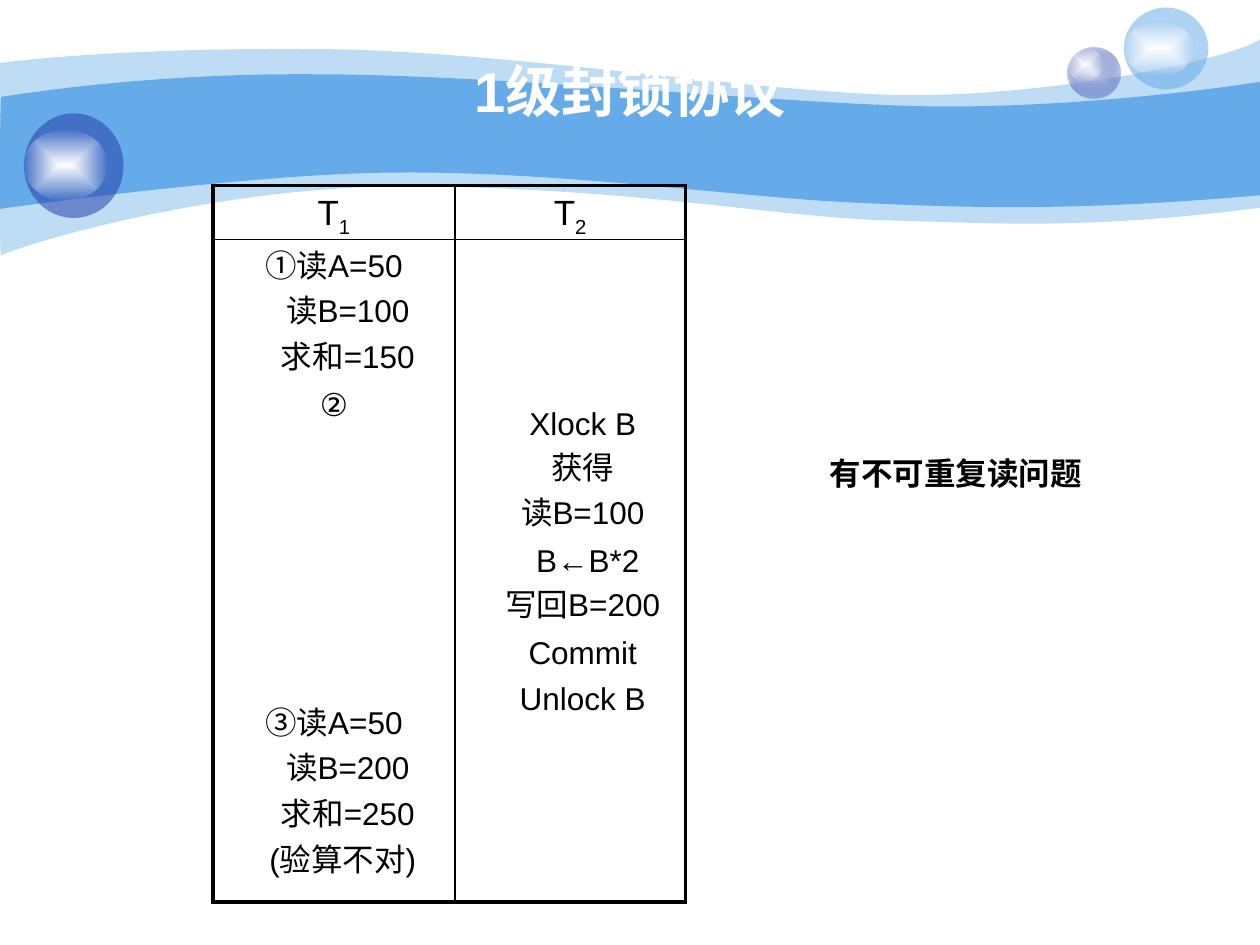
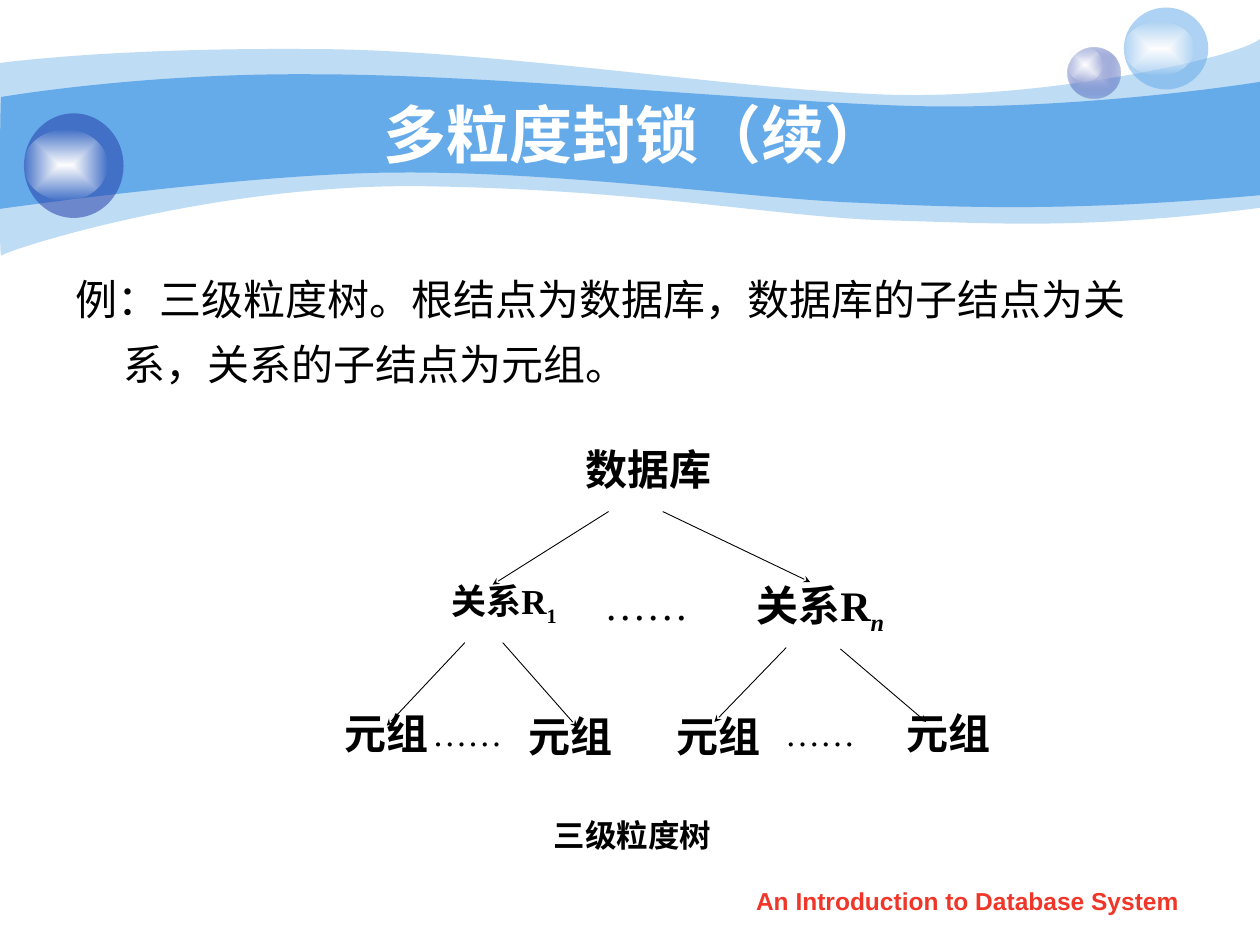
from pptx import Presentation
from pptx.dml.color import RGBColor
from pptx.enum.shapes import MSO_CONNECTOR, MSO_SHAPE
from pptx.enum.text import MSO_ANCHOR, PP_ALIGN
from pptx.oxml import parse_xml
from pptx.oxml.ns import nsdecls, qn
from pptx.util import Inches, Pt
from lxml.etree import SubElement

# Grid: 10 columns by 7.5 rows of square cells
SLIDE_WIDTH, SLIDE_HEIGHT = Inches(10), Inches(7.5)
CELL = SLIDE_WIDTH / 10

SKY = RGBColor(0x65, 0xAA, 0xE9)
NAVY = RGBColor(0x23, 0x3D, 0xA9)
LAVENDER = RGBColor(0xC7, 0xCE, 0xE9)
WHITE = RGBColor(0xFF, 0xFF, 0xFF)
BLACK = RGBColor(0, 0, 0)
RED = RGBColor(0xF0, 0x36, 0x28)
SANS, SERIF = "Arial", "Times New Roman"

# Bands: a start point, then cubic curves (6 numbers) or lines (2 numbers)
PALE_BAND = [
    (0, 0.5), (0.24, 0.47, 1.07, 0.38, 2.47, 0.39),
    (3.86, 0.39, 5.75, 0.7, 6.99, 0.75), (8.22, 0.8, 9.8, 0.47, 10, 0.31),
    (10, 1.65), (8.58, 1.83, 7.87, 1.77, 7.05, 1.75),
    (6.22, 1.73, 5.15, 1.51, 3.43, 1.48), (1.72, 1.44, 0.04, 1.99, 0.01, 2.03),
    (-0.01, 2.08, 0, 0.75, 0, 0.5)]
BLUE_BAND = [
    (0.01, 0.77), (0.02, 0.77, 1.1, 0.58, 2.48, 0.59),
    (3.86, 0.59, 5.95, 0.8, 7.18, 0.84), (8.41, 0.88, 9.76, 0.69, 10, 0.65),
    (10, 1.55), (8.53, 1.68, 7.65, 1.65, 6.82, 1.61),
    (5.99, 1.58, 4.47, 1.36, 3.17, 1.37), (2.03, 1.37, -0.02, 1.66, -0.01, 1.66),
    (0, 1.66, 0, 0.77, 0.01, 0.77)]

# Schedule lines: text and indent in cells; the pause before step 3 is 6 lines
STEP_PITCH = 26.1
PAUSE = {"③读A=50": 6 * STEP_PITCH}
T1_STEPS = [
    ("①读A=50", 0), ("读B=100", 0.22), ("求和=150", 0.22), ("②", 0),
    ("③读A=50", 0), ("读B=200", 0.22), ("求和=250", 0.22), ("(验算不对)", 0.14)]
T2_STEPS = [
    ("Xlock B", 0), ("获得", 0), ("读B=100", 0), ("B←B*2", 0.08),
    ("写回B=200", 0), ("Commit", 0), ("Unlock B", 0)]

# Tree labels: text, subscript, centre column, top row, size, bold
TREE_LABELS = [
    ("数据库", "", 5.15, 3.5, 24, True),
    ("关系R", "1", 4, 4.55, 20, True),
    ("……", "", 5.13, 4.57, 24, False),
    ("关系R", "n", 6.51, 4.55, 24, True),
    ("元组", "", 3.07, 5.59, 24, True),
    ("……", "", 3.71, 5.62, 20, False),
    ("元组", "", 4.53, 5.62, 24, True),
    ("元组", "", 5.7, 5.62, 24, True),
    ("……", "", 6.51, 5.62, 20, False),
    ("元组", "", 7.53, 5.59, 24, True)]
TREE_BRANCHES = [
    (4.83, 4.06, 3.91, 4.64), (5.26, 4.06, 6.43, 4.62),
    (3.69, 5.1, 3.07, 5.76), (3.99, 5.1, 4.58, 5.77),
    (6.24, 5.14, 5.67, 5.73), (6.67, 5.15, 7.35, 5.73)]


def cells(*lengths):
    return [round(length * CELL) for length in lengths]


# Text
def write(paragraph, text, size, font=SANS, color=BLACK, bold=False,
          align=PP_ALIGN.CENTER, subscript=""):
    paragraph.alignment = align
    paragraph.font.size = Pt(size)
    paragraph.font.name = font
    paragraph.font.bold = bold
    paragraph.font.color.rgb = color
    paragraph.add_run().text = text
    if subscript:
        index = paragraph.add_run()
        index.text = subscript
        index.font.italic = subscript.isalpha() or None
        index.font._element.set("baseline", "-25000")


def add_label(slide, place, text, size, anchor=MSO_ANCHOR.TOP, **style):
    frame = slide.shapes.add_textbox(*cells(*place)).text_frame
    frame.word_wrap = True
    frame.vertical_anchor = anchor
    write(frame.paragraphs[0], text, size, **style)
    return frame.paragraphs[0]


def add_titled_slide(deck, text, place, size):
    slide = deck.slides.add_slide(deck.slide_layouts[5])
    title = slide.shapes.title
    title.left, title.top, title.width, title.height = cells(*place)
    title.text_frame.vertical_anchor = MSO_ANCHOR.MIDDLE
    write(title.text_frame.paragraphs[0], text, size, color=WHITE, bold=True)
    return slide


# Shared decoration
def finish(shape, color=None, opacity=100):
    shape.shadow.inherit = False
    shape.line.fill.background()
    if color is not None:
        shape.fill.solid()
        shape.fill.fore_color.rgb = color
        tint = shape.element.spPr.find(qn("a:solidFill"))[0]
        SubElement(tint, qn("a:alpha")).set("val", str(opacity * 1000))
    return shape


def add_band(slide, outline, opacity):
    """Lay out every control point, then bend each triple into a curve."""
    points = [cells(*segment[i:i + 2])
              for segment in outline for i in range(0, len(segment), 2)]
    builder = slide.shapes.build_freeform(*points[0])
    builder.add_line_segments(points[1:], close=True)
    band = builder.convert_to_shape()
    vertices = band.element.xpath(".//a:lnTo")
    for segment in outline[1:]:
        count = len(segment) // 2
        first, *others = vertices[:count]
        vertices = vertices[count:]
        if others:
            first.tag = qn("a:cubicBezTo")
            for vertex in others:
                first.append(vertex[0])
                vertex.getparent().remove(vertex)
    return finish(band, SKY, opacity)


def add_ball(slide, place, color, opacity):
    ball = slide.shapes.add_shape(MSO_SHAPE.OVAL, *cells(*place))
    return finish(ball, color, opacity)


def add_glow(slide, place, centre=WHITE, edge=WHITE, edge_opacity=0):
    glow = slide.shapes.add_shape(MSO_SHAPE.OVAL, *cells(*place))
    glow.element.spPr.find(qn("a:prstGeom")).addnext(parse_xml(
        f'<a:gradFill {nsdecls("a")} rotWithShape="1"><a:gsLst>'
        f'<a:gs pos="0"><a:srgbClr val="{centre}"/></a:gs>'
        f'<a:gs pos="100000"><a:srgbClr val="{edge}">'
        f'<a:alpha val="{edge_opacity * 1000}"/></a:srgbClr></a:gs></a:gsLst>'
        '<a:path path="rect">'
        '<a:fillToRect l="50000" t="50000" r="50000" b="50000"/></a:path>'
        '</a:gradFill>'))
    return finish(glow)


def decorate_layout(slide):
    """Draw the bands and balls, then hand them to the slide's layout."""
    decoration = [
        add_band(slide, PALE_BAND, 41),
        add_band(slide, BLUE_BAND, 100),
        add_glow(slide, (8.47, 0.38, 0.42, 0.4), LAVENDER, NAVY, 31),
        add_glow(slide, (8.47, 0.38, 0.28, 0.27)),
        add_ball(slide, (8.92, 0.06, 0.67, 0.65), SKY, 53),
        add_glow(slide, (8.92, 0.17, 0.56, 0.43)),
        add_ball(slide, (0.19, 0.9, 0.79, 0.83), NAVY, 53),
        add_glow(slide, (0.19, 1.03, 0.66, 0.56))]
    layout_tree = slide.slide_layout.shapes.element
    for order, part in enumerate(decoration):
        part.element.xpath(".//p:cNvPr")[0].set("id", str(100 + order))
        layout_tree.insert(2 + order, part.element)


# Schedule table
def set_borders(cell, **widths):
    properties = cell._tc.get_or_add_tcPr()
    for side in "LRTB":
        properties.append(parse_xml(
            f'<a:ln{side} {nsdecls("a")} w="{Pt(widths[side])}"><a:solidFill>'
            f'<a:srgbClr val="{BLACK}"/></a:solidFill></a:ln{side}>'))
    cell.fill.background()


def write_steps(cell, steps):
    frame = cell.text_frame
    for row, (text, indent) in enumerate(steps):
        paragraph = frame.add_paragraph() if row else frame.paragraphs[0]
        paragraph._p.get_or_add_pPr().set("marL", str(cells(indent)[0]))
        paragraph.line_spacing = Pt(STEP_PITCH)
        paragraph.space_before = Pt(PAUSE.get(text, 0))
        write(paragraph, text, 18)


def add_schedule(slide):
    column_widths, row_heights = cells(1.92, 1.83), cells(0.43, 5.26)
    table = slide.shapes.add_table(
        2, 2, *cells(1.69, 1.47), sum(column_widths), sum(row_heights)).table
    table.first_row = table.horz_banding = False
    outer, inner = 2.25, 1
    for index in range(2):
        table.columns[index].width = column_widths[index]
        table.rows[index].height = row_heights[index]
        for row in range(2):
            set_borders(table.cell(row, index),
                        L=inner if index else outer, R=outer if index else inner,
                        T=inner if row else outer, B=outer if row else inner)
        header = table.cell(0, index)
        header.margin_top, header.margin_bottom = cells(0.07, 0)
        write(header.text_frame.paragraphs[0], "T", 20, subscript=str(index + 1))
    t1_cell, t2_cell = table.cell(1, 0), table.cell(1, 1)
    t1_cell.margin_top = cells(0.01)[0]
    write_steps(t1_cell, T1_STEPS)
    # The second transaction starts later and sits a little to the right
    t2_cell.margin_left, t2_cell.margin_top = cells(0.3, 1.25)
    write_steps(t2_cell, T2_STEPS)


# Granularity tree
def add_branch(slide, ends):
    branch = slide.shapes.add_connector(MSO_CONNECTOR.STRAIGHT, *cells(*ends))
    branch.line.color.rgb = BLACK
    branch.line.width = Pt(0.5)
    SubElement(branch.line._get_or_add_ln(), qn("a:tailEnd"),
               type="stealth", w="sm", len="sm")
    SubElement(branch.element.spPr, qn("a:effectLst"))


def add_tree(slide):
    for ends in TREE_BRANCHES:
        add_branch(slide, ends)
    width = 1.5
    for text, subscript, centre, top, size, bold in TREE_LABELS:
        label = add_label(slide, (centre - width / 2, top, width, 0.6), text, size,
                          font=SERIF, bold=bold, subscript=subscript)
        label.line_spacing = 0.96


def main():
    deck = Presentation()
    deck.slide_width, deck.slide_height = SLIDE_WIDTH, SLIDE_HEIGHT

    # Level 1 locking protocol
    protocol = add_titled_slide(deck, "1级封锁协议", (0.5, 0.3, 9, 0.83), 32)
    decorate_layout(protocol)
    add_schedule(protocol)
    add_label(protocol, (6.17, 3.42, 2.83, 0.67), "有不可重复读问题", 18,
              MSO_ANCHOR.MIDDLE, font=SERIF, bold=True)

    # Multiple granularity locking
    granularity = add_titled_slide(deck, "多粒度封锁（续）", (1, 0.75, 8.08, 0.62), 36)
    example = add_label(
        granularity, (0.5, 2, 8.6, 1.4),
        "例：三级粒度树。根结点为数据库，数据库的子结点为关系，关系的子结点为元组。",
        24, align=PP_ALIGN.LEFT)
    example.line_spacing = 1.3
    hanging = cells(0.38)[0]
    example._p.pPr.set("marL", str(hanging))
    example._p.pPr.set("indent", str(-hanging))
    add_tree(granularity)
    add_label(granularity, (3.92, 6.43, 2.2, 0.4), "三级粒度树", 18,
              font=SERIF, bold=True)
    add_label(granularity, (5.71, 6.98, 3.94, 0.35),
              "An Introduction to Database System", 14, color=RED, bold=True)

    deck.save("out.pptx")


if __name__ == "__main__":
    main()
